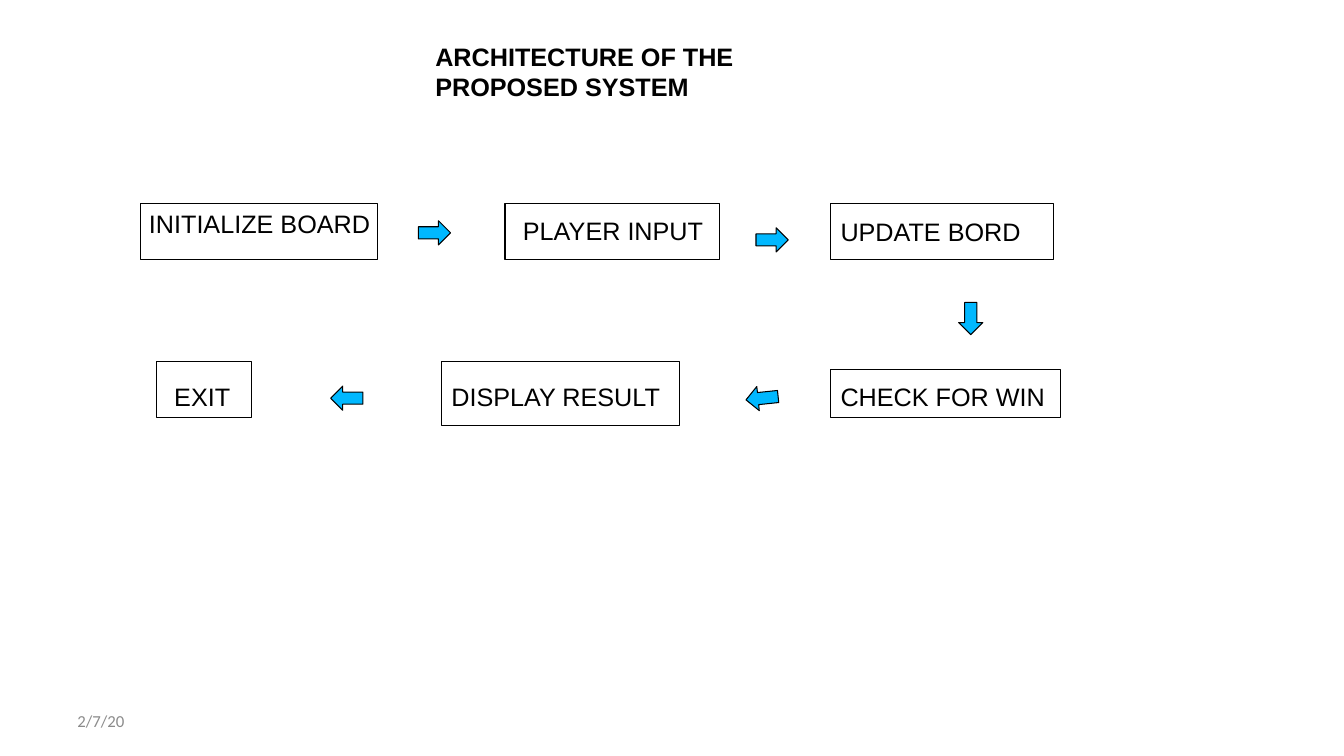
"""Build the slide that shows the architecture of the proposed system."""
import dataclasses

import pptx
import pptx.dml.color
import pptx.enum.shapes
import pptx.enum.text
import pptx.shapes.autoshape
import pptx.slide
import pptx.util

SHAPES = pptx.enum.shapes.MSO_SHAPE
ANCHORS = pptx.enum.text.MSO_ANCHOR
AUTO_SIZE = pptx.enum.text.MSO_AUTO_SIZE

SLIDE_WIDTH = pptx.util.Inches(13.33)
SLIDE_HEIGHT = pptx.util.Inches(7.5)
COLUMNS = 160
ROWS = 90


@dataclasses.dataclass(frozen=True)
class Theme:
    """Hold the colours, fonts and sizes of the slide."""
    ink: str = "000000"
    muted: str = "8B8B8B"
    arrow: str = "00B8FF"
    body_font: str = "Arial"
    date_font: str = "Calibri"
    body_size: float = 18
    date_size: float = 12
    line_width: float = 0.75


@dataclasses.dataclass(frozen=True)
class Area:
    """Place a rectangle in grid columns and rows."""
    column: float
    row: float
    columns: float
    rows: float

    def lengths(self) -> tuple[int, int, int, int]:
        """Return left, top, width and height in slide units."""
        return (
            round(self.column * SLIDE_WIDTH / COLUMNS),
            round(self.row * SLIDE_HEIGHT / ROWS),
            round(self.columns * SLIDE_WIDTH / COLUMNS),
            round(self.rows * SLIDE_HEIGHT / ROWS),
        )


@dataclasses.dataclass(frozen=True)
class Step:
    """Describe one framed step and the place of its label."""
    text: str
    frame: Area
    label: Area


@dataclasses.dataclass(frozen=True)
class Arrow:
    """Describe one block arrow by its corner and rotation."""
    column: float
    row: float
    rotation: float = 0


THEME = Theme()
TOP_ROW = 24.24
BOTTOM_ROW = 43.08
BOTTOM_LABEL_ROW = 44.76
RIGHT_COLUMN = 98.88
FRAME_ROWS = 6.6
LABEL_ROWS = 4.8
ARROW_COLUMNS = 3.84
ARROW_ROWS = 2.88

STEPS = (
    Step("INITIALIZE BOARD", Area(16.68, TOP_ROW, 28.32, FRAME_ROWS),
         Area(16.56, TOP_ROW, 29.76, LABEL_ROWS)),
    Step("PLAYER INPUT", Area(60.12, TOP_ROW, 25.56, FRAME_ROWS),
         Area(61.08, 25.08, 28.8, LABEL_ROWS)),
    Step("UPDATE BORD", Area(RIGHT_COLUMN, TOP_ROW, 26.52, FRAME_ROWS),
         Area(RIGHT_COLUMN, 25.2, 27.96, LABEL_ROWS)),
    Step("CHECK FOR WIN", Area(RIGHT_COLUMN, 44.04, 27.36, 5.64),
         Area(RIGHT_COLUMN, BOTTOM_LABEL_ROW, 33.12, LABEL_ROWS)),
    Step("DISPLAY RESULT", Area(52.56, BOTTOM_ROW, 28.32, 7.56),
         Area(52.56, BOTTOM_LABEL_ROW, 30, LABEL_ROWS)),
    Step("EXIT", Area(18.6, BOTTOM_ROW, 11.4, FRAME_ROWS),
         Area(19.56, BOTTOM_LABEL_ROW, 15.24, LABEL_ROWS)),
)

ARROWS = (
    Arrow(49.8, 26.28),
    Arrow(90, 27.12),
    Arrow(113.64, 36.48, rotation=90),
    Arrow(88.8, 45.96, rotation=174),
    Arrow(39.36, 45.96, rotation=180),
)


def colour(value: str) -> pptx.dml.color.RGBColor:
    """Turn a hex value into a colour."""
    return pptx.dml.color.RGBColor.from_string(value)


def add_text(page: pptx.slide.Slide, text: str, area: Area, *,
             font: str = THEME.body_font, size: float = THEME.body_size,
             ink: str = THEME.ink, bold: bool = False,
             anchor: ANCHORS = ANCHORS.TOP,
             auto_size: AUTO_SIZE = AUTO_SIZE.SHAPE_TO_FIT_TEXT) -> None:
    """Add a wrapped text box in one format."""
    frame = page.shapes.add_textbox(*area.lengths()).text_frame
    frame.word_wrap = True
    frame.auto_size = auto_size
    frame.vertical_anchor = anchor
    span = frame.paragraphs[0].add_run()
    span.text = text
    span.font.name = font
    span.font.size = pptx.util.Pt(size)
    span.font.bold = bold
    span.font.color.rgb = colour(ink)


def add_outlined(page: pptx.slide.Slide, kind: SHAPES,
                 area: Area) -> pptx.shapes.autoshape.Shape:
    """Add an unfilled preset shape with a thin outline."""
    shape = page.shapes.add_shape(kind, *area.lengths())
    shape.shadow.inherit = False
    shape.fill.background()
    shape.line.color.rgb = colour(THEME.ink)
    shape.line.width = pptx.util.Pt(THEME.line_width)
    return shape


def add_arrow(page: pptx.slide.Slide, arrow: Arrow) -> None:
    """Add a filled block arrow."""
    area = Area(arrow.column, arrow.row, ARROW_COLUMNS, ARROW_ROWS)
    shape = add_outlined(page, SHAPES.RIGHT_ARROW, area)
    shape.fill.solid()
    shape.fill.fore_color.rgb = colour(THEME.arrow)
    shape.rotation = arrow.rotation


def main() -> None:
    """Build and save the deck."""
    deck = pptx.Presentation()
    deck.slide_width = SLIDE_WIDTH
    deck.slide_height = SLIDE_HEIGHT
    page = deck.slides.add_slide(deck.slide_layouts[6])
    add_text(page, "2/7/20", Area(8.04, 83.4, 37.32, LABEL_ROWS),
             font=THEME.date_font, size=THEME.date_size, ink=THEME.muted,
             anchor=ANCHORS.MIDDLE, auto_size=AUTO_SIZE.NONE)
    add_text(page, "ARCHITECTURE OF THE PROPOSED SYSTEM",
             Area(50.64, 4.32, 53.28, 12.12), bold=True)
    for step in STEPS:
        add_text(page, step.text, step.label)
    for step in STEPS:
        add_outlined(page, SHAPES.RECTANGLE, step.frame)
    for arrow in ARROWS:
        add_arrow(page, arrow)
    deck.save("out.pptx")


if __name__ == "__main__":
    main()
